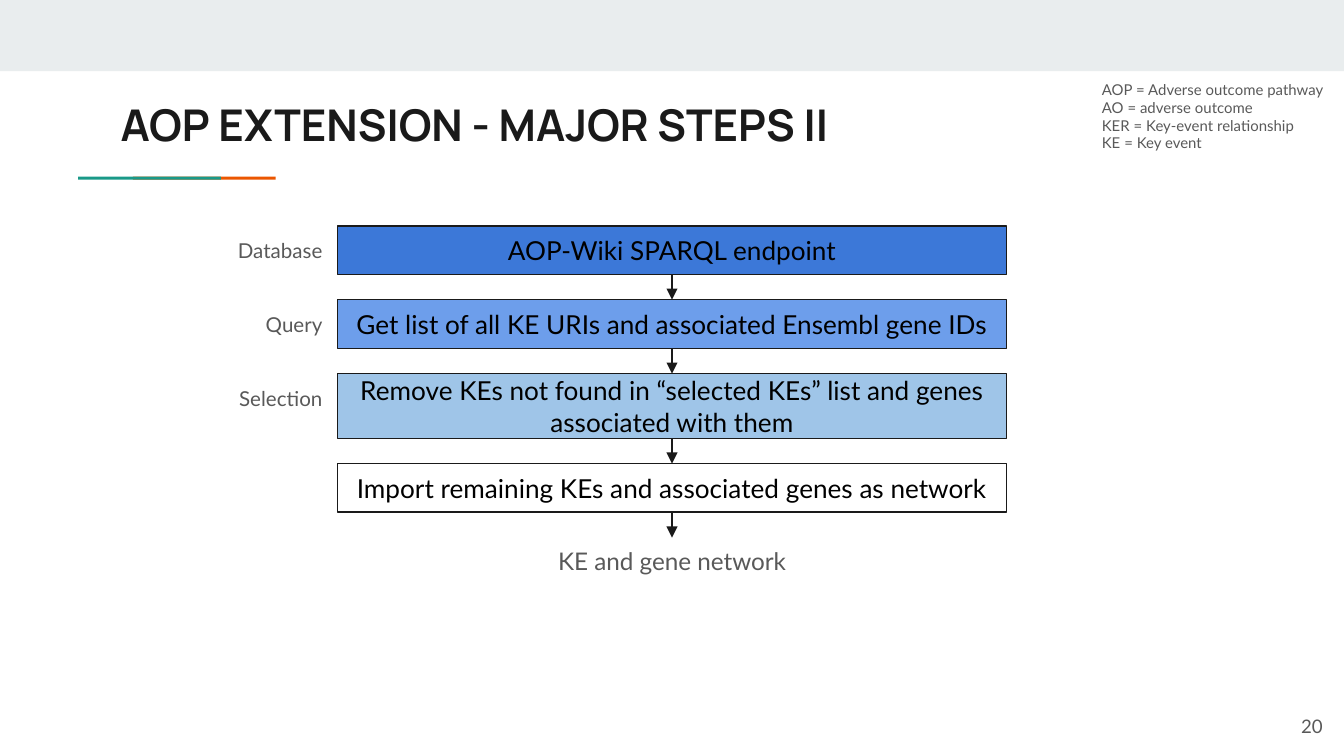
from lxml.etree import SubElement
from pptx import Presentation
from pptx.dml.color import RGBColor
from pptx.enum.shapes import MSO_CONNECTOR, MSO_SHAPE
from pptx.enum.text import MSO_ANCHOR, PP_ALIGN
from pptx.oxml.ns import qn
from pptx.util import Pt

INK = RGBColor(0x1A, 0x1A, 0x1A)
GRAY = RGBColor(0x59, 0x59, 0x59)
BLACK = RGBColor(0, 0, 0)
WHITE = RGBColor(0xFF, 0xFF, 0xFF)
BAND = RGBColor(0xE9, 0xED, 0xEE)
ORANGE = RGBColor(0xEB, 0x56, 0x00)
TEAL = RGBColor(0x1A, 0x99, 0x88)
DARK_BLUE = RGBColor(0x3C, 0x78, 0xD8)
MID_BLUE = RGBColor(0x6D, 0x9E, 0xEB)
LIGHT_BLUE = RGBColor(0x9F, 0xC5, 0xE8)

BOX_LEFT, BOX_WIDTH, BOX_TOP, GAP = 180.7, 358.6, 121, 13.6

# label, text, height, fill
STEPS = [
    ("Database", "AOP-Wiki SPARQL endpoint", 26, DARK_BLUE),
    ("Query", "Get list of all KE URIs and associated Ensembl gene IDs", 26, MID_BLUE),
    ("Selection", "Remove KEs not found in “selected KEs” list and genes associated with them",
     34.6, LIGHT_BLUE),
    (None, "Import remaining KEs and associated genes as network", 26, WHITE),
]
ABBREVIATIONS = [
    "AOP = Adverse outcome pathway",
    "AO = adverse outcome",
    "KER = Key-event relationship",
    "KE = Key event",
]


class Deck:
    font = "Lato"
    line_width = Pt(0.75)

    def __init__(self, s):
        self.s = s

    def set_text(self, sp, text, size, color, align, inset, font=None, bold=False):
        tf = sp.text_frame
        tf.word_wrap = True
        tf.vertical_anchor = MSO_ANCHOR.MIDDLE
        tf.margin_left = tf.margin_right = tf.margin_top = tf.margin_bottom = Pt(inset)
        tf.text = text
        for p in tf.paragraphs:
            p.alignment = align
            for r in p.runs:
                r.font.name = font or self.font
                r.font.size = Pt(size)
                r.font.bold = bold
                r.font.color.rgb = color

    def text(self, x, y, w, h, text, size, color=GRAY, align=PP_ALIGN.LEFT, inset=7.2, **style):
        sp = self.s.shapes.add_textbox(Pt(x), Pt(y), Pt(w), Pt(h))
        self.set_text(sp, text, size, color, align, inset, **style)
        return sp

    def rect(self, x, y, w, h, fill):
        sp = self.s.shapes.add_shape(MSO_SHAPE.RECTANGLE, Pt(x), Pt(y), Pt(w), Pt(h))
        sp.shadow.inherit = False
        sp.fill.solid()
        sp.fill.fore_color.rgb = fill
        sp.line.fill.background()
        return sp

    def step(self, y, h, text, fill):
        sp = self.rect(BOX_LEFT, y, BOX_WIDTH, h, fill)
        sp.line.color.rgb = INK
        sp.line.width = self.line_width
        self.set_text(sp, text, 14, BLACK, PP_ALIGN.CENTER, 7.2)
        return sp

    def arrow(self, upper, lower):
        """Join the bottom of one shape to the top of the next."""
        c = self.s.shapes.add_connector(MSO_CONNECTOR.STRAIGHT, 0, 0, 0, 0)
        c.begin_connect(upper, 2)
        c.end_connect(lower, 0)
        c.line.color.rgb = INK
        c.line.width = self.line_width
        properties = c.element.spPr
        SubElement(properties.find(qn("a:ln")), qn("a:tailEnd"), type="triangle")
        SubElement(properties, qn("a:effectLst"))


def main():
    prs = Presentation()
    prs.slide_width, prs.slide_height = Pt(720), Pt(405)
    deck = Deck(prs.slides.add_slide(prs.slide_layouts[6]))

    deck.rect(0, 0, 720, 38.2, BAND)
    deck.rect(71.2, 94.7, 76.5, 1.6, ORANGE)
    deck.rect(41.8, 94.7, 76.5, 1.6, TEAL)
    deck.text(57.6, 45.4, 605.5, 42.5, "AOP EXTENSION - MAJOR STEPS II", 23.4, INK,
              font="Manrope", bold=True)
    deck.text(583.2, 41, 138.2, 42.5, "\n".join(ABBREVIATIONS), 8)

    y = BOX_TOP
    boxes = []
    for label, text, height, fill in STEPS:
        boxes.append(deck.step(y, height, text, fill))
        if label:
            deck.text(110.9, y + 5.8, 61.9, 14.4, label, 11, align=PP_ALIGN.RIGHT, inset=0)
        y += height + GAP
    boxes.append(deck.text(298.5, y, 123, 25.2, "KE and gene network", 13,
                           align=PP_ALIGN.CENTER, inset=0))
    for upper, lower in zip(boxes, boxes[1:]):
        deck.arrow(upper, lower)

    deck.text(672.5, 373.7, 43.2, 31, "20", 10, align=PP_ALIGN.RIGHT)
    prs.save("out.pptx")


if __name__ == "__main__":
    main()
